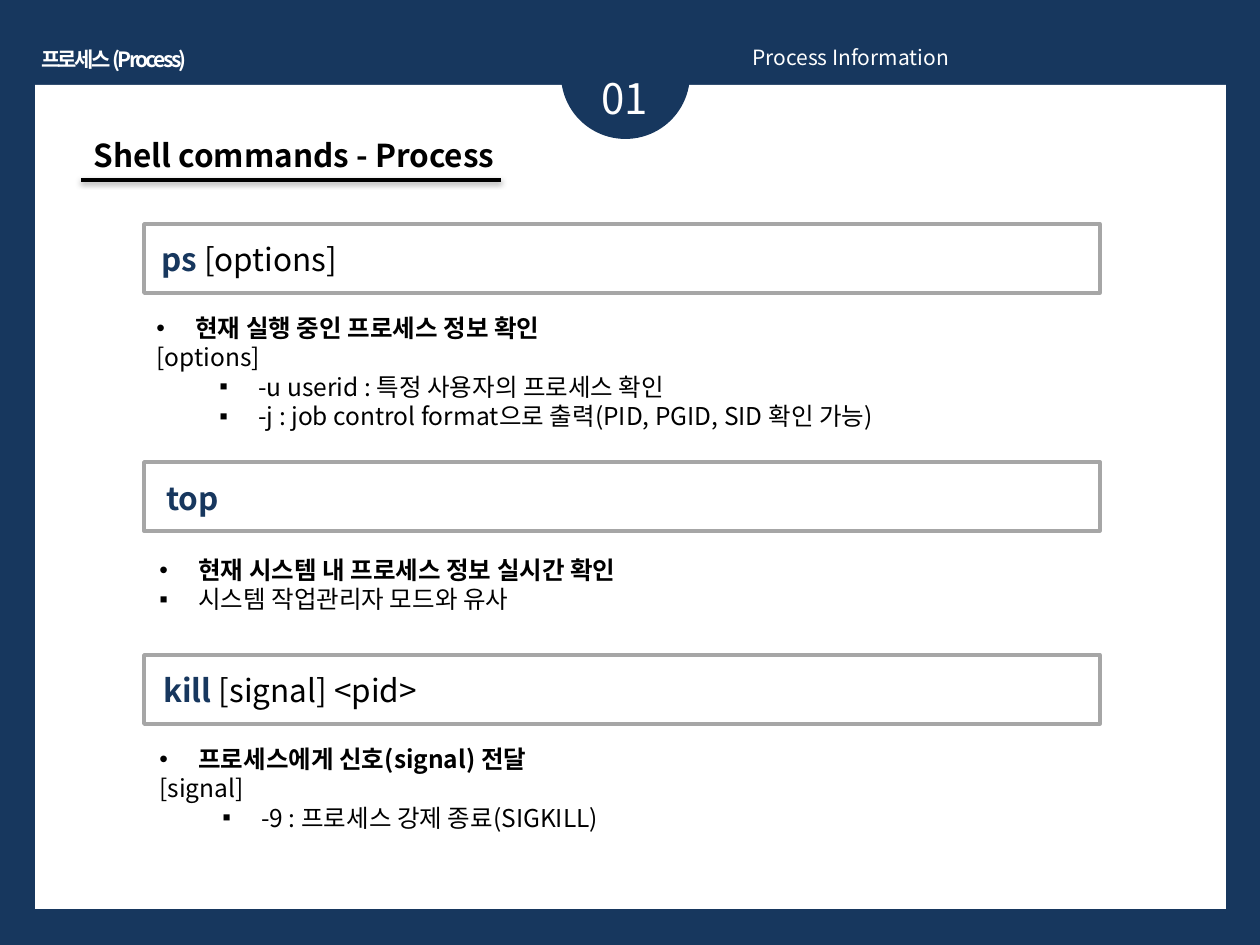
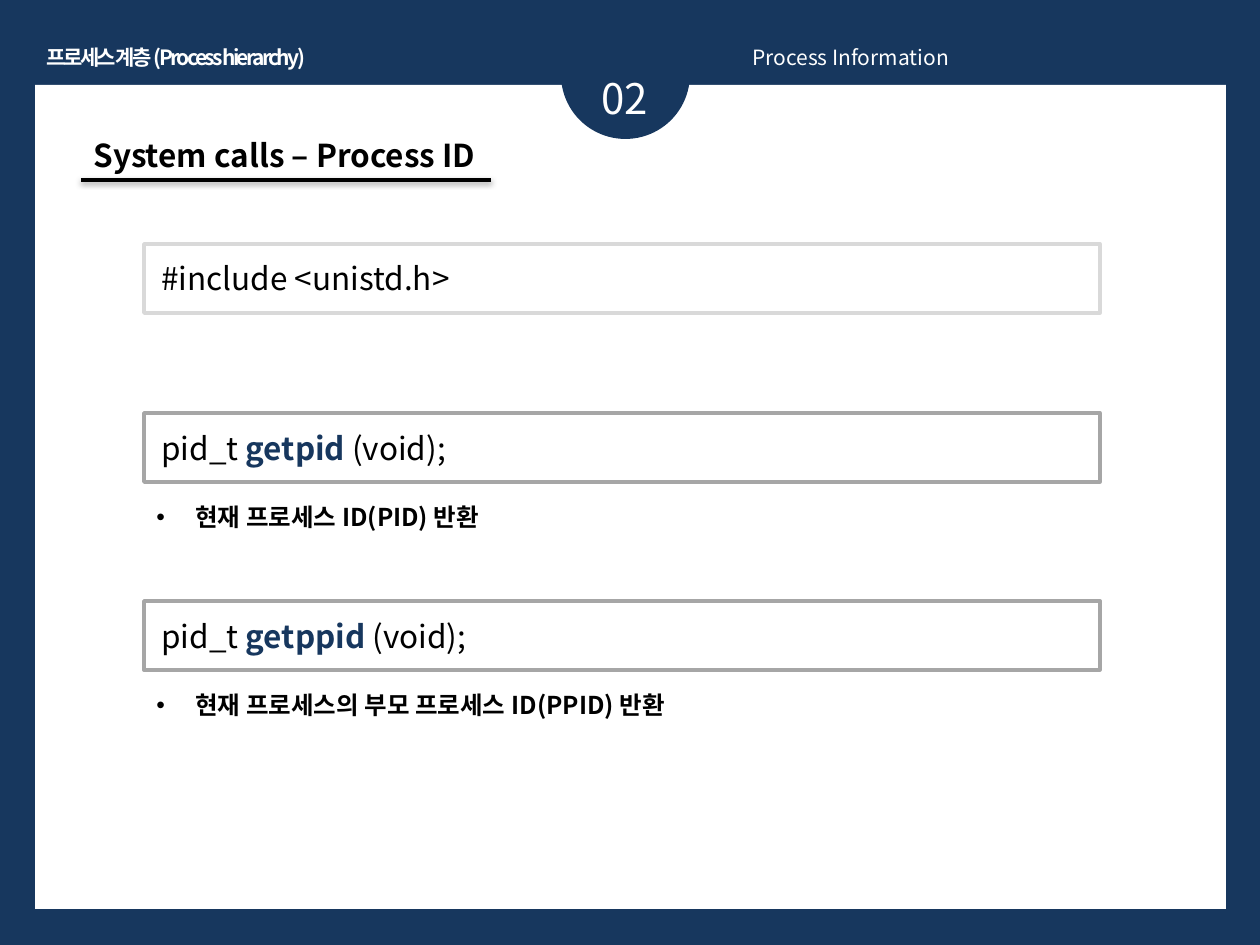
from dataclasses import dataclass
from typing import NamedTuple

from lxml.etree import SubElement
from pptx import Presentation
from pptx.dml.color import RGBColor
from pptx.enum.shapes import MSO_CONNECTOR as CONN, MSO_SHAPE as SHAPE
from pptx.enum.text import MSO_AUTO_SIZE as AUTO, PP_ALIGN as ALIGN
from pptx.oxml.ns import qn
from pptx.util import Emu, Pt

SCALE = 914400 / 126
FONT = "Noto Sans CJK KR"
COLORS = {
    "navy": "17375E",
    "white": "FFFFFF",
    "black": "000000",
    "gray": "A6A6A6",
    "light": "D9D9D9",
}
HANG = 39
BOX_LEFT, BOX_WIDTH, BOX_HEIGHT = 144, 956, 69


class Area(NamedTuple):
    left: int
    top: int
    width: int
    height: int


class Detail(NamedTuple):
    text: str
    bullet: str = ""
    indent: int = 0
    heading: bool = False


@dataclass
class Command:
    top: int
    before: str
    keyword: str
    after: str
    details: tuple[Detail, ...] = ()
    text_left: int = 149
    text_drop: int = 10
    list_left: int = 144
    list_drop: int = 68
    list_height: int = 52
    border: str = "gray"


@dataclass
class Page:
    number: str
    topic: str
    topic_area: Area
    title: str
    title_width: int
    underline_end: int
    commands: tuple[Command, ...]


def px(n: float) -> Emu:
    return Emu(round(n * SCALE))


def rgb(name: str) -> RGBColor:
    return RGBColor.from_string(COLORS[name])


def heading(text: str) -> Detail:
    return Detail(text, "•", HANG, True)


def item(text: str, indent: int = 102) -> Detail:
    return Detail(text, "▪", indent)


def add_block(s, kind, area: Area, fill: str, border: str = ""):
    sp = s.shapes.add_shape(kind, *map(px, area))
    sp.shadow.inherit = False
    sp.fill.solid()
    sp.fill.fore_color.rgb = rgb(fill)
    if border:
        sp.line.color.rgb = rgb(border)
        sp.line.width = Pt(2)
    else:
        sp.line.fill.background()


def add_frame(s, area: Area, wrap: bool = True):
    tf = s.shapes.add_textbox(*map(px, area)).text_frame
    tf.word_wrap = wrap
    tf.auto_size = AUTO.SHAPE_TO_FIT_TEXT
    return tf


def style_run(r, size: int, color: str, bold: bool = False):
    r.font.size = Pt(size)
    r.font.bold = bold
    r.font.name = FONT
    r.font.color.rgb = rgb(color)
    SubElement(r._r.get_or_add_rPr(), qn("a:ea"), typeface=FONT)


def add_label(s, area: Area, text: str, size: int, color: str, bold: bool = False,
              align=ALIGN.LEFT, wrap: bool = True):
    tf = add_frame(s, area, wrap)
    tf.text = text
    p = tf.paragraphs[0]
    p.alignment = align
    style_run(p.runs[0], size, color, bold)
    return p.runs[0]


def add_underline(s, left: int, right: int, y: int):
    line = s.shapes.add_connector(CONN.STRAIGHT, px(left), px(y), px(right), px(y))
    line.line.color.rgb = rgb("black")
    line.line.width = Pt(2)
    effects = SubElement(line._element.spPr, qn("a:effectLst"))
    shadow = SubElement(effects, qn("a:outerShdw"), blurRad="40000", dist="20000",
                        dir="5400000", rotWithShape="0")
    color = SubElement(shadow, qn("a:srgbClr"), val=COLORS["black"])
    SubElement(color, qn("a:alpha"), val="38000")


def add_details(s, area: Area, details: tuple[Detail, ...]):
    tf = add_frame(s, area)
    tf.text = "\n".join(detail.text for detail in details)
    for p, detail in zip(tf.paragraphs, details):
        if detail.heading:
            p.line_spacing = 1.5
        if detail.indent > HANG:
            p.level = 1
        if detail.bullet:
            pPr = p._p.get_or_add_pPr()
            pPr.set("marL", str(px(detail.indent)))
            pPr.set("indent", str(px(-HANG)))
            SubElement(pPr, qn("a:buFont"), typeface="Arial")
            SubElement(pPr, qn("a:buChar"), char=detail.bullet)
        style_run(p.runs[0], 14, "black", detail.heading)


def add_command(s, c: Command):
    add_block(s, SHAPE.RECTANGLE, Area(BOX_LEFT, c.top, BOX_WIDTH, BOX_HEIGHT),
              "white", c.border)
    p = add_frame(s, Area(c.text_left, c.top + c.text_drop, 1032, 50)).paragraphs[0]
    for text, color, bold in ((c.before, "black", False), (c.keyword, "navy", True),
                              (c.after, "black", False)):
        if text:
            r = p.add_run()
            r.text = text
            style_run(r, 18, color, bold)
    if c.details:
        add_details(s, Area(c.list_left, c.top + c.list_drop, BOX_WIDTH, c.list_height),
                    c.details)


def add_page(prs, page: Page):
    s = prs.slides.add_slide(prs.slide_layouts[6])
    s.background.fill.solid()
    s.background.fill.fore_color.rgb = rgb("navy")
    add_block(s, SHAPE.RECTANGLE, Area(35, 85, 1191, 824), "white")
    add_block(s, SHAPE.OVAL, Area(561, 10, 129, 129), "navy")
    add_label(s, Area(550, 66, 149, 63), page.number, 24, "white", align=ALIGN.CENTER)
    add_label(s, Area(740, 38, 496, 38), "Process Information", 12, "white",
              align=ALIGN.JUSTIFY)
    topic = add_label(s, page.topic_area, page.topic, 12, "white", True, ALIGN.CENTER, False)
    topic._r.get_or_add_rPr().set("spc", "-150")
    add_label(s, Area(81, 130, page.title_width, 50), page.title, 18, "black", True)
    add_underline(s, 81, page.underline_end, 180)
    for command in page.commands:
        add_command(s, command)


PAGES = (
    Page("01", "프로세스 (Process)", Area(26, 40, 176, 38),
         "Shell commands - Process", 470, 501, (
             Command(224, "", "ps", " [options]", (
                 heading("현재 실행 중인 프로세스 정보 확인"),
                 Detail("[options]"),
                 item("-u userid : 특정 사용자의 프로세스 확인"),
                 item("-j : job control format으로 출력(PID, PGID, SID 확인 가능)"),
             ), list_height=176),
             Command(462, "", "top", "", (
                 heading("현재 시스템 내 프로세스 정보 실시간 확인"),
                 item("시스템 작업관리자 모드와 유사", HANG),
             ), text_left=154, text_drop=11, list_left=147, list_drop=72, list_height=87),
             Command(655, "", "kill", " [signal] <pid>", (
                 heading("프로세스에게 신호(signal) 전달"),
                 Detail("[signal]"),
                 item("-9 : 프로세스 강제 종료(SIGKILL)"),
             ), text_left=151, list_left=147, list_height=117),
         )),
    Page("02", "프로세스 계층 (Process hierarchy)", Area(30, 38, 292, 38),
         "System calls – Process ID", 420, 491, (
             Command(244, "#include <unistd.h>", "", "", text_drop=9, border="light"),
             Command(413, "pid_t ", "getpid", " (void);",
                     (heading("현재 프로세스 ID(PID) 반환"),)),
             Command(601, "pid_t ", "getppid", " (void);",
                     (heading("현재 프로세스의 부모 프로세스 ID(PPID) 반환"),)),
         )),
)

prs = Presentation()
prs.slide_width, prs.slide_height = px(1260), px(945)
for page in PAGES:
    add_page(prs, page)
prs.save("out.pptx")
